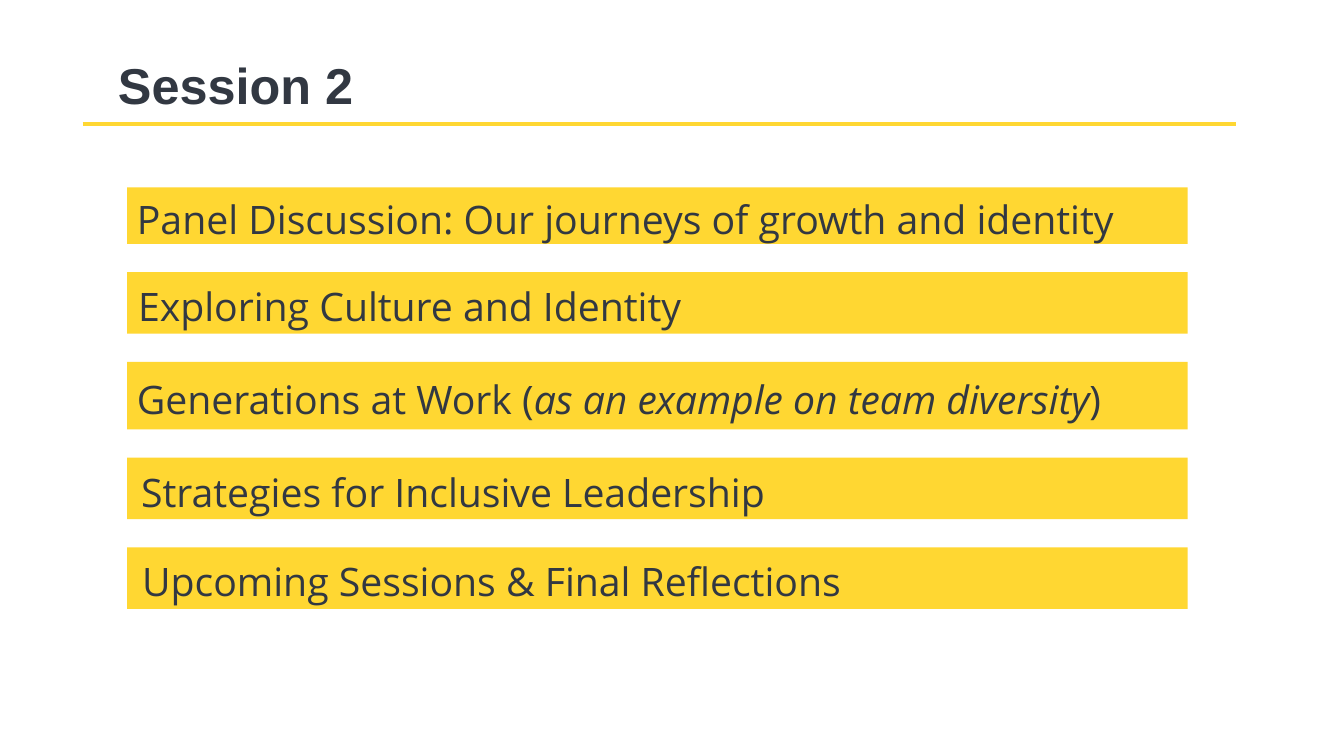
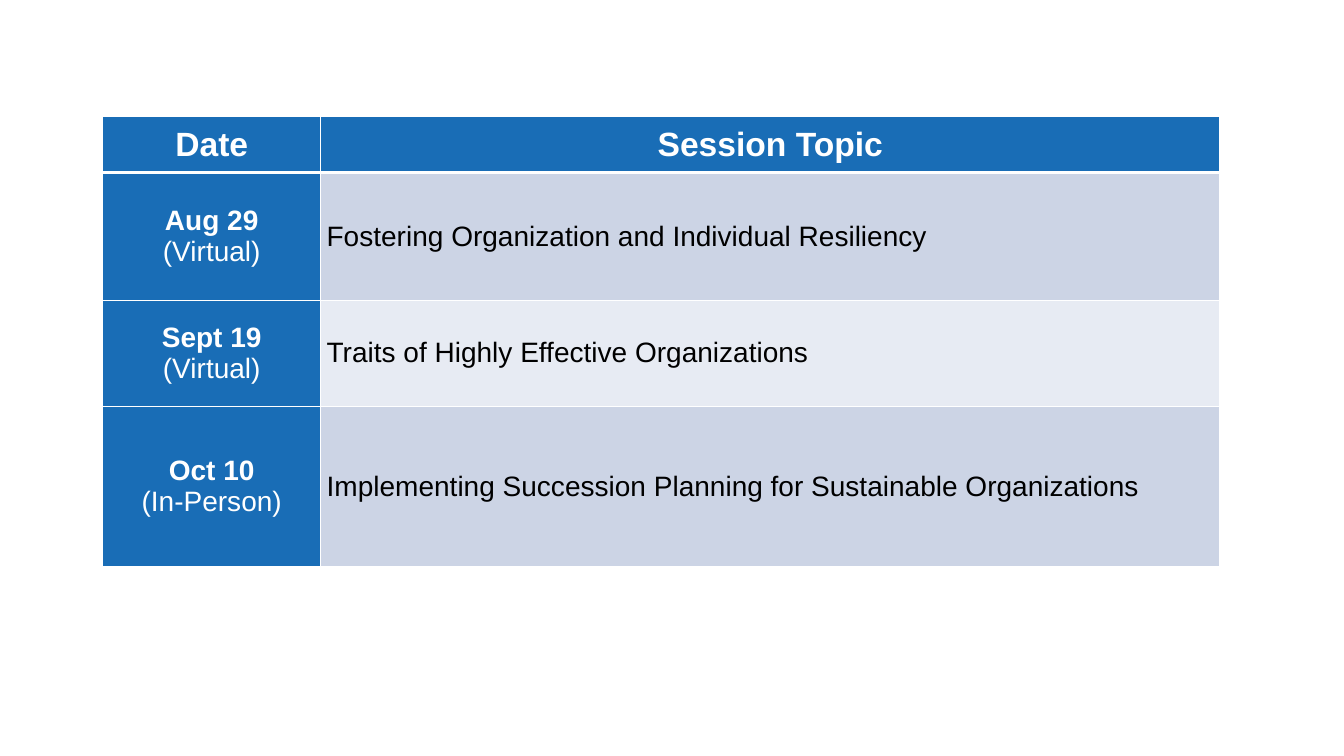
"""Builds the session agenda and the schedule of upcoming sessions."""
from lxml import etree
from pptx import Presentation
from pptx.dml.color import RGBColor
from pptx.enum import shapes, text
from pptx.oxml import ns
from pptx.util import Inches, Pt

YELLOW = RGBColor(0xFF, 0xD7, 0x32)
SLATE = RGBColor(0x32, 0x38, 0x42)
BLUE = RGBColor(0x19, 0x6D, 0xB6)
WHITE = RGBColor(0xFF, 0xFF, 0xFF)
BLACK = RGBColor(0, 0, 0)
BANDS = (RGBColor(0xCC, 0xD4, 0xE5), RGBColor(0xE7, 0xEB, 0xF3))
HEAD_FONT, AGENDA_FONT = "Arial", "Open Sans"
TITLE_ONLY, BLANK = 5, 6

BAR_LEFT, BAR_TOP, BAR_WIDTH, BAR_GAP = 1.26, 1.86, 10.52, 0.28
AGENDA = [
    (0.56, 0.1, [("Panel Discussion: Our journeys of growth and identity", False)]),
    (0.61, 0.11, [("Exploring Culture and Identity", False)]),
    (0.67, 0.1, [("Generations at Work (", False),
                 ("as an example on team diversity", True), (")", False)]),
    (0.61, 0.14, [("Strategies for Inclusive Leadership", False)]),
    (0.61, 0.15, [("Upcoming Sessions & Final Reflections", False)]),
]

COLUMN_WIDTHS = (2.16, 8.92)
ROW_HEIGHTS = (0.55, 1.27, 1.05, 1.59)
HEADERS = ("Date", "Session Topic")
SESSIONS = [
    ("Aug 29", "(Virtual)", "Fostering Organization and Individual Resiliency"),
    ("Sept 19", "(Virtual)", "Traits of Highly Effective Organizations"),
    ("Oct 10", "(In-Person)",
     "Implementing Succession Planning for Sustainable Organizations"),
]
THIN, THICK = 0.86, 2.59


def add_run(paragraph, words, size, color, font=HEAD_FONT, bold=False, italic=False):
    """Append one formatted run to a paragraph."""
    run = paragraph.add_run()
    run.text = words
    run.font.name, run.font.size = font, Pt(size)
    run.font.bold, run.font.italic = bold, italic
    run.font.color.rgb = color


def set_title(slide, words):
    """Place the slide title above its yellow rule."""
    title = slide.shapes.title
    title.left, title.top = Inches(1.07), Inches(0.49)
    title.width, title.height = Inches(10.29), Inches(0.77)
    frame = title.text_frame
    frame.auto_size = text.MSO_AUTO_SIZE.NONE
    frame.vertical_anchor = text.MSO_ANCHOR.MIDDLE
    heading = frame.paragraphs[0]
    heading.alignment = text.PP_ALIGN.LEFT
    heading.line_spacing = 0.9
    add_run(heading, words, 36, SLATE, bold=True)

    rule = slide.shapes.add_connector(
        shapes.MSO_CONNECTOR.STRAIGHT,
        Inches(0.82), Inches(1.23), Inches(12.26), Inches(1.23))
    rule.line.color.rgb = YELLOW
    rule.line.width = Pt(3)
    etree.SubElement(rule.element.spPr, ns.qn("a:effectLst"))


def add_agenda_bar(slide, top, height, inset, parts):
    """Draw one yellow bar holding an agenda item."""
    bar = slide.shapes.add_shape(
        shapes.MSO_SHAPE.RECTANGLE,
        Inches(BAR_LEFT), Inches(top), Inches(BAR_WIDTH), Inches(height))
    bar.shadow.inherit = False
    bar.fill.solid()
    bar.fill.fore_color.rgb = YELLOW
    bar.line.fill.background()
    frame = bar.text_frame
    frame.word_wrap = True
    frame.vertical_anchor = text.MSO_ANCHOR.MIDDLE
    frame.margin_left = Inches(inset)
    frame.margin_top, frame.margin_bottom = Inches(0.06), 0
    item = frame.paragraphs[0]
    item.alignment = text.PP_ALIGN.LEFT
    for words, italic in parts:
        add_run(item, words, 28, SLATE, AGENDA_FONT, italic=italic)


def set_borders(cell, top, bottom):
    """Give a cell white borders of the given top and bottom widths."""
    properties = cell._tc.get_or_add_tcPr()
    for side, width in (("L", THIN), ("R", THIN), ("T", top), ("B", bottom)):
        edge = etree.SubElement(properties, ns.qn(f"a:ln{side}"), w=str(int(Pt(width))))
        fill = etree.SubElement(edge, ns.qn("a:solidFill"))
        etree.SubElement(fill, ns.qn("a:srgbClr"), val=str(WHITE))


def fill_cell(cell, lines, size, color, fill, row, centered):
    """Write (words, bold) lines into a cell and style it."""
    set_borders(cell, THICK if row == 1 else THIN, THICK if row == 0 else THIN)
    cell.fill.solid()
    cell.fill.fore_color.rgb = fill
    cell.vertical_anchor = text.MSO_ANCHOR.MIDDLE
    if row:
        cell.margin_left = cell.margin_right = Inches(0.06)
        cell.margin_top = cell.margin_bottom = Inches(0.02)
    frame = cell.text_frame
    for index, (words, bold) in enumerate(lines):
        paragraph = frame.add_paragraph() if index else frame.paragraphs[0]
        paragraph.alignment = text.PP_ALIGN.CENTER if centered else text.PP_ALIGN.LEFT
        add_run(paragraph, words, size, color, bold=bold)


def add_schedule(slide):
    """Add the table of session dates and topics."""
    schedule = slide.shapes.add_table(
        len(ROW_HEIGHTS), len(COLUMN_WIDTHS), Inches(1.02), Inches(1.16),
        Inches(sum(COLUMN_WIDTHS)), Inches(sum(ROW_HEIGHTS))).table
    for column, width in zip(schedule.columns, COLUMN_WIDTHS):
        column.width = Inches(width)
    for row, height in zip(schedule.rows, ROW_HEIGHTS):
        row.height = Inches(height)
    for column, header in enumerate(HEADERS):
        fill_cell(schedule.cell(0, column), [(header, True)], 24, WHITE, BLUE, 0, True)
    for row, (date, venue, topic) in enumerate(SESSIONS, start=1):
        fill_cell(schedule.cell(row, 0), [(date, True), (venue, False)],
                  20, WHITE, BLUE, row, True)
        fill_cell(schedule.cell(row, 1), [(topic, False)],
                  20, BLACK, BANDS[(row - 1) % 2], row, False)


def main():
    """Build both slides and save the deck."""
    deck = Presentation()
    deck.slide_width, deck.slide_height = Inches(13.33), Inches(7.5)

    agenda = deck.slides.add_slide(deck.slide_layouts[TITLE_ONLY])
    set_title(agenda, "Session 2")
    top = BAR_TOP
    for height, inset, parts in AGENDA:
        add_agenda_bar(agenda, top, height, inset, parts)
        top += height + BAR_GAP

    add_schedule(deck.slides.add_slide(deck.slide_layouts[BLANK]))
    deck.save("out.pptx")


if __name__ == "__main__":
    main()
